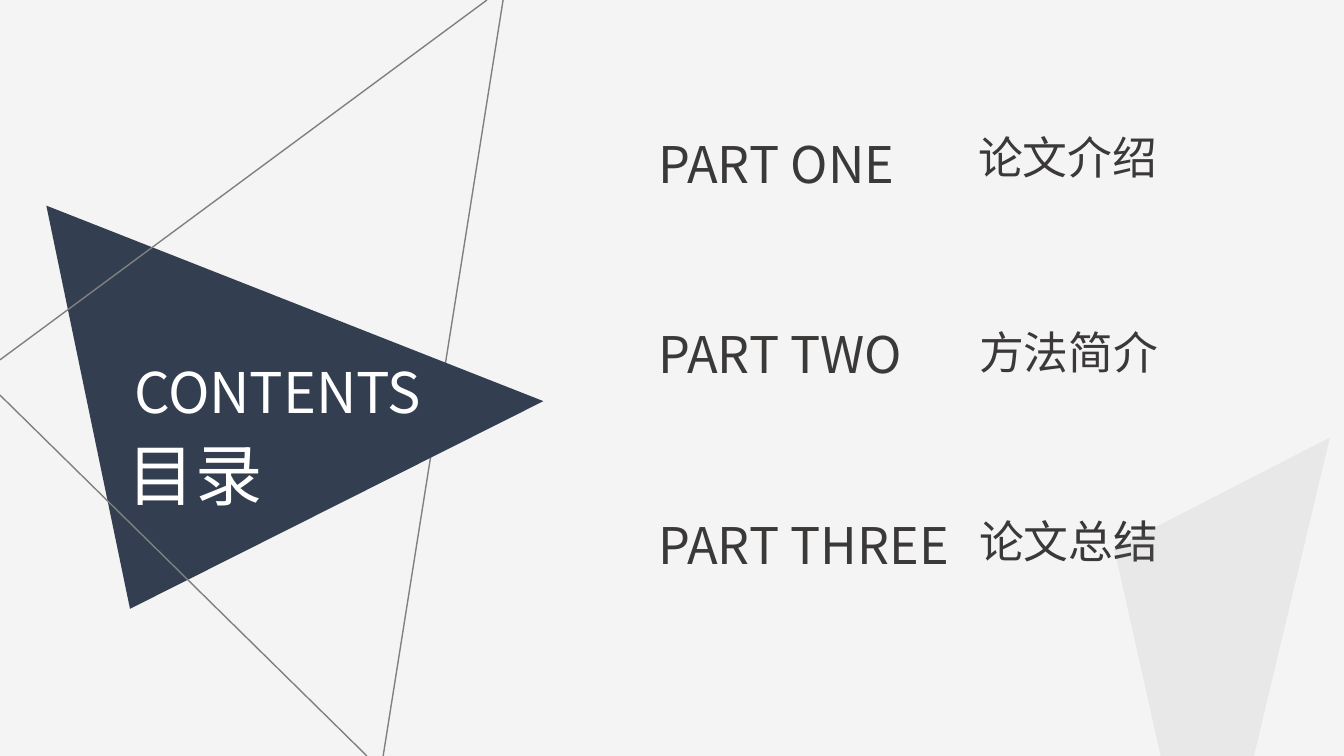
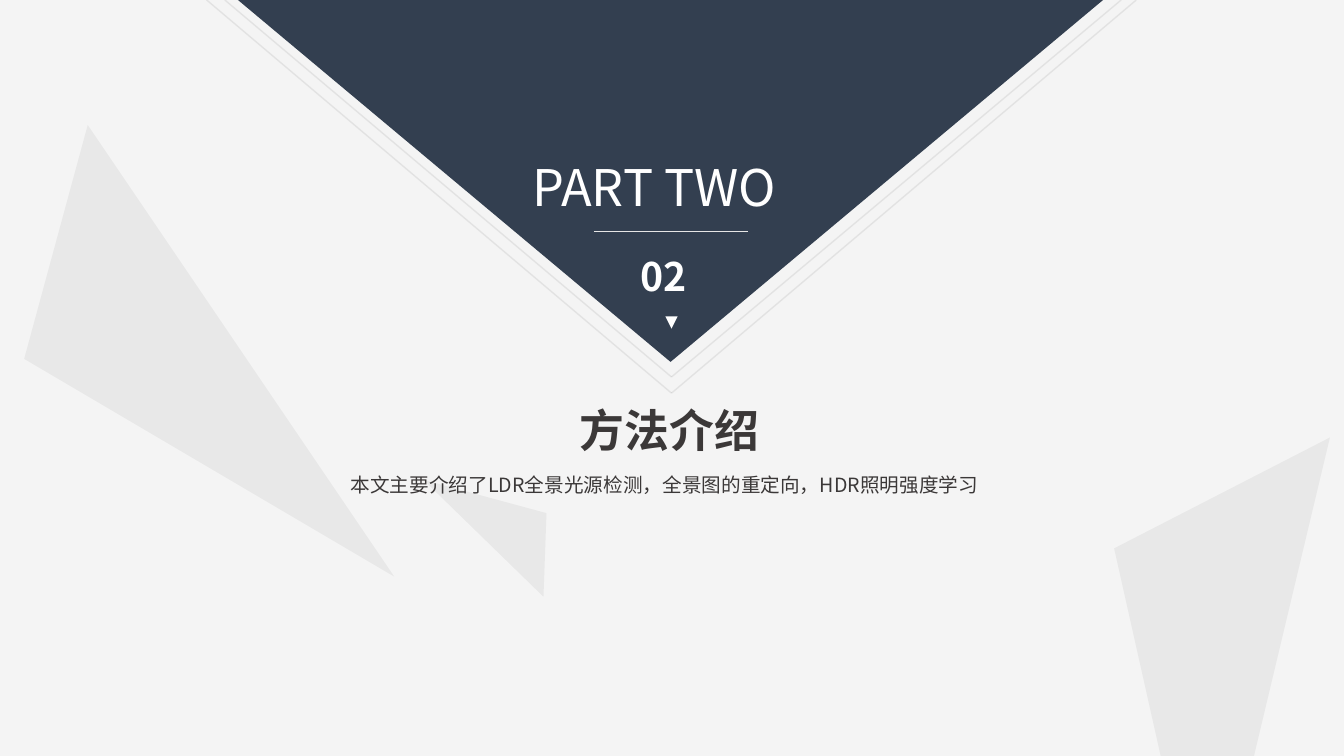
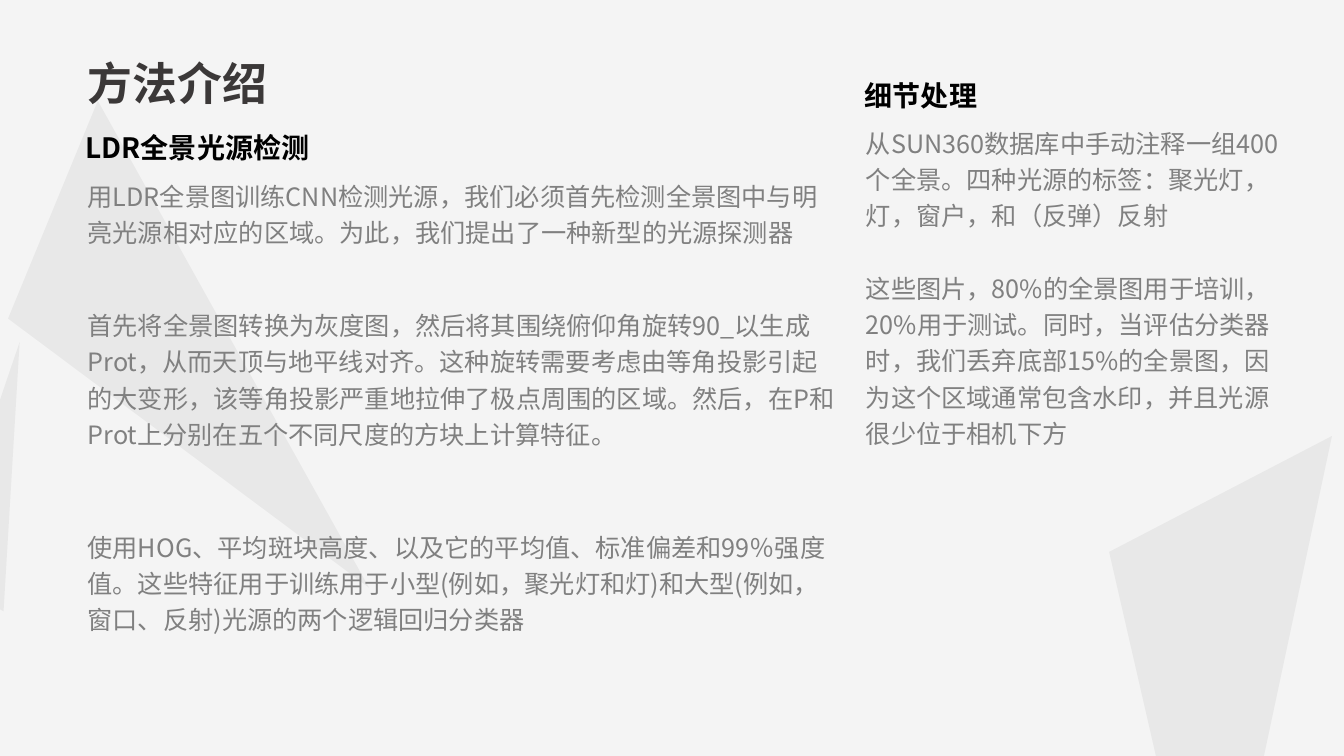
import math
import pptx
import pptx.util
import pptx.dml.color
import pptx.enum.shapes
import pptx.enum.text
import pptx.oxml.ns
import lxml.etree

Inches = pptx.util.Inches
Pt = pptx.util.Pt
Align = pptx.enum.text.PP_ALIGN
qn = pptx.oxml.ns.qn

FONT = "Noto Sans CJK SC"
COLORS = {
    "background": "F4F4F4",
    "navy": "333F50",
    "ink": "3B3838",
    "gray": "808080",
    "rule": "E7E6E6",
    "white": "FFFFFF",
    "black": "000000",
}
FAINT_FILL = 10
FAINT_LINE = 15

CONTENTS = [("PART ONE", 2.68, "论文介绍", (9.54, 1.24, 2.1, 0.64)),
            ("PART TWO", 2.8, "方法简介", (9.55, 3.17, 2.1, 0.64)),
            ("PART THREE", 3.14, "论文总结", (9.55, 5.05, 2.1, 0.64))]
CONTENTS_TOP, CONTENTS_STEP = 1.27, 1.89

COVER_TRIANGLE = [(5.39, 3.98), (1.29, 6.04), (0.46, 2.04)]
COVER_LINES = [((0, 3.57), (4.83, 0)), ((0, 3.92), (3.64, 7.5))]
CORNER_SHARD = ([(13.19, 4.34), (11.05, 5.44), (11.96, 9.5)], 180, (12.12, 6.92))
SECTION_SHARDS = [
    CORNER_SHARD,
    ([(0.88, 1.24), (0.25, 3.56), (3.92, 5.72)], 180, (2.08, 3.48)),
    ([(5.42, 5.09), (5.39, 5.92), (4.2, 4.76)], 180, (4.81, 5.34)),
]
METHOD_SHARDS = [
    ([(0.97, 1.01), (0.08, 3.17), (3.66, 5.84)], 180, (1.87, 3.42)),
    ([(13.2, 4.34), (10.99, 5.49), (12.01, 9.94)], 213.1, (12.1, 6.8)),
    ([(-0.6, 5.71), (0.03, 6.06), (0.19, 3.39)], 67.3, (-0.09, 4.81)),
]
CHEVRONS = [(2.23, 11.12, 3.74), (2.05, 11.27, 3.9)]
CHEVRON_CENTER = 6.66

METHOD_TITLE = "方法介绍"
SECTION_SUMMARY = "本文主要介绍了LDR全景光源检测，全景图的重定向，HDR照明强度学习"
METHOD_HEADINGS = [
    ("LDR全景光源检测", (0.75, 1.25, 3.35, 0.44)),
    ("细节处理", (8.48, 0.73, 1.69, 0.44)),
]
METHOD_BODIES = [
    (["用LDR全景图训练CNN检测光源，我们必须首先检测全景图中与明亮光源相对应的区域。"
      "为此，我们提出了一种新型的光源探测器"], (0.77, 1.69, 7.65, 0.83)),
    (["首先将全景图转换为灰度图，然后将其围绕俯仰角旋转90_以生成Prot，从而天顶与地平线对齐。"
      "这种旋转需要考虑由等角投影引起的大变形，该等角投影严重地拉伸了极点周围的区域。"
      "然后，在P和Prot上分别在五个不同尺度的方块上计算特征。"], (0.77, 2.97, 7.65, 1.55)),
    (["使用HOG、平均斑块高度、以及它的平均值、标准偏差和99％强度值。"
      "这些特征用于训练用于小型(例如，聚光灯和灯)和大型(例如，窗口、反射)光源的两个逻辑回归分类器"],
     (0.77, 5.17, 7.65, 1.19)),
    (["从SUN360数据库中手动注释一组400个全景。四种光源的标签：聚光灯，灯，窗户，和（反弹）反射",
      "这些图片，80%的全景图用于培训，20%用于测试。同时，当评估分类器时，"
      "我们丢弃底部15%的全景图，因为这个区域通常包含水印，并且光源很少位于相机下方"],
     (8.49, 1.16, 4.44, 3.37)),
]


def rgb(name):
    return pptx.dml.color.RGBColor.from_string(COLORS[name])


def set_opacity(shape, percent):
    for color in shape.element.spPr.iter(qn("a:srgbClr")):
        lxml.etree.SubElement(color, qn("a:alpha")).set("val", str(percent * 1000))


def add_text(slide, text, box, size, color="ink", bold=False, align=Align.LEFT,
             wrap=True, line_spacing=None, gap=0):
    shape = slide.shapes.add_textbox(*map(Inches, box))
    frame = shape.text_frame
    frame.word_wrap = wrap
    frame.auto_size = pptx.enum.text.MSO_AUTO_SIZE.SHAPE_TO_FIT_TEXT
    lines = [text] if isinstance(text, str) else text
    for index, line in enumerate(lines):
        paragraph = frame.paragraphs[0] if index == 0 else frame.add_paragraph()
        paragraph.alignment = align
        if line_spacing:
            paragraph.line_spacing = line_spacing
        if index:
            paragraph.space_before = Pt(gap)
        run = paragraph.add_run()
        run.text = line
        run.font.size = Pt(size)
        run.font.bold = bold
        run.font.color.rgb = rgb(color)
        run.font.name = FONT
        east_asian = lxml.etree.SubElement(run.font._element, qn("a:ea"))
        east_asian.set("typeface", FONT)


def paint(shape, color):
    shape.shadow.inherit = False
    shape.fill.solid()
    shape.fill.fore_color.rgb = rgb(color)
    shape.line.fill.background()


def turn_back(point, angle, center):
    x, y = point[0] - center[0], point[1] - center[1]
    cosine, sine = math.cos(math.radians(angle)), math.sin(math.radians(angle))
    return center[0] + x * cosine + y * sine, center[1] - x * sine + y * cosine


def add_polygon(slide, points, color, rotation=0, center=(0, 0), opacity=None):
    flat = [turn_back(point, rotation, center) for point in points]
    corners = [(Inches(x), Inches(y)) for x, y in flat]
    builder = slide.shapes.build_freeform(*corners[0])
    builder.add_line_segments(corners[1:], close=True)
    shape = builder.convert_to_shape()
    shape.rotation = rotation
    paint(shape, color)
    if opacity:
        set_opacity(shape, opacity)


def add_down_triangle(slide, box, color):
    shape = slide.shapes.add_shape(
        pptx.enum.shapes.MSO_SHAPE.ISOSCELES_TRIANGLE, *map(Inches, box))
    shape.rotation = 180
    paint(shape, color)


def add_line(slide, start, end, color="gray", width=1, opacity=None):
    connector = slide.shapes.add_connector(
        pptx.enum.shapes.MSO_CONNECTOR.STRAIGHT, *map(Inches, start + end))
    connector.line.color.rgb = rgb(color)
    connector.line.width = Pt(width)
    lxml.etree.SubElement(connector.element.spPr, qn("a:effectLst"))
    if opacity:
        set_opacity(connector, opacity)


def add_shards(slide, shards):
    for points, rotation, center in shards:
        add_polygon(slide, points, "gray", rotation, center, FAINT_FILL)


def add_method_title(slide, left, top):
    add_text(slide, METHOD_TITLE, (left, top, 1.98, 0.64), 32, bold=True, wrap=False)


def build_contents(slide):
    add_line(slide, (4.99, 0), (3.8, 7.5))
    add_polygon(slide, COVER_TRIANGLE, "navy")
    add_text(slide, "目录", (1.17, 4.25, 2.38, 0.91), 48, color="white")
    add_text(slide, "CONTENTS", (0.99, 3.5, 3.53, 0.77), 40, color="white",
             align=Align.CENTER)
    for start, end in COVER_LINES:
        add_line(slide, start, end)
    for index, (part, width, topic, topic_box) in enumerate(CONTENTS):
        part_top = CONTENTS_TOP + index * CONTENTS_STEP
        add_text(slide, part, (6.43, part_top, width, 0.71), 36, wrap=False)
        add_text(slide, topic, topic_box, 32, align=Align.CENTER)
    add_shards(slide, [CORNER_SHARD])


def build_section(slide):
    add_down_triangle(slide, (2.36, 0, 8.58, 3.59), "navy")
    add_text(slide, "PART TWO", (5.18, 1.5, 2.88, 0.71), 36, color="white",
             align=Align.JUSTIFY)
    add_line(slide, (5.89, 2.3), (7.42, 2.3), "rule", 0.5)
    add_text(slide, "02", (6.25, 2.45, 0.72, 0.57), 28, color="white", bold=True,
             align=Align.JUSTIFY)
    add_down_triangle(slide, (6.6, 3.14, 0.12, 0.12), "white")
    for left, right, bottom in CHEVRONS:
        for side in (left, right):
            add_line(slide, (side, 0), (CHEVRON_CENTER, bottom), opacity=FAINT_LINE)
    add_shards(slide, SECTION_SHARDS)
    add_method_title(slide, 5.65, 3.95)
    add_text(slide, SECTION_SUMMARY, (2.75, 4.57, 7.68, 0.41), 14,
             align=Align.CENTER, line_spacing=1.3)


def build_method(slide):
    add_method_title(slide, 0.77, 0.5)
    add_shards(slide, METHOD_SHARDS)
    for heading, box in METHOD_HEADINGS:
        add_text(slide, heading, box, 20, color="black", bold=True, align=Align.JUSTIFY)
    for body, box in METHOD_BODIES:
        add_text(slide, body, box, 18, color="gray", line_spacing=1.2, gap=26)


def main():
    presentation = pptx.Presentation()
    presentation.slide_width = Inches(13.33)
    presentation.slide_height = Inches(7.5)
    background = presentation.slide_master.background.fill
    background.solid()
    background.fore_color.rgb = rgb("background")
    for build in (build_contents, build_section, build_method):
        build(presentation.slides.add_slide(presentation.slide_layouts[6]))
    presentation.save("out.pptx")


if __name__ == "__main__":
    main()
